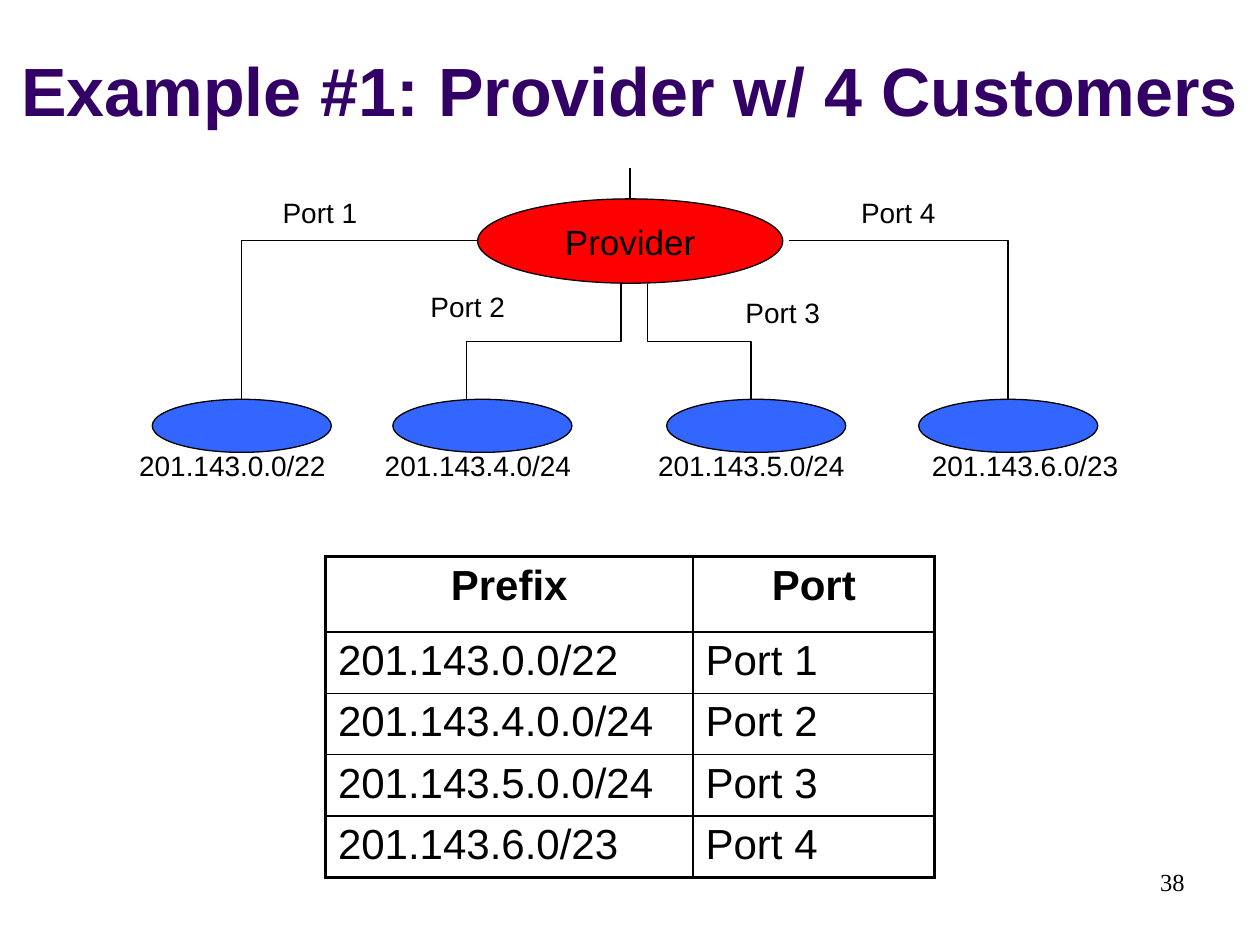
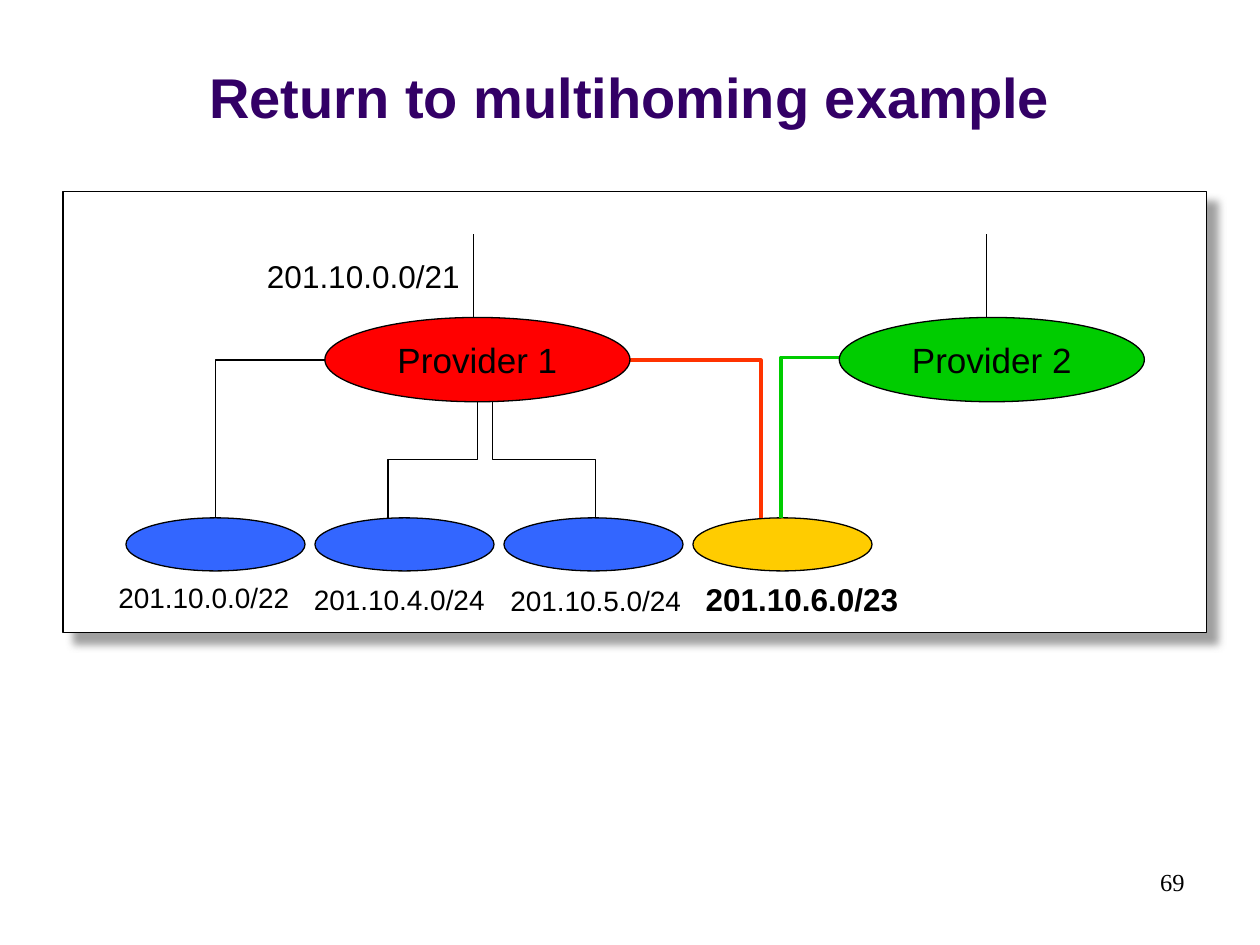
from lxml.etree import SubElement
from pptx import Presentation
from pptx.dml.color import RGBColor
from pptx.enum.shapes import MSO_CONNECTOR, MSO_SHAPE
from pptx.enum.text import MSO_ANCHOR, PP_ALIGN
from pptx.oxml.ns import qn
from pptx.util import Cm, Pt

COLORS = {
    "title": "330066", "ink": "000000", "paper": "FFFFFF", "shadow": "808080",
    "customer": "3366FF", "provider1": "FF0000", "provider2": "00CC00",
    "multihomed": "FFCC00", "link1": "FF3300",
}
PROVIDER_W, PROVIDER_H = 6.15, 1.7
CUSTOMER_W, CUSTOMER_H = 3.61, 1.07


def rgb(name):
    """Return the named colour."""
    return RGBColor.from_string(COLORS[name])


def write(tf, text, size, color="ink", bold=False, align=PP_ALIGN.CENTER, font="Arial"):
    """Fill a text frame with one run."""
    p = tf.paragraphs[0]
    p.alignment = align
    r = p.add_run()
    r.text = text
    r.font.name, r.font.size, r.font.bold = font, Pt(size), bold
    r.font.color.rgb = rgb(color)


def label(slide, x, y, w, h, text, size=16, **style):
    """Add a one-line text box."""
    tf = slide.shapes.add_textbox(Cm(x), Cm(y), Cm(w), Cm(h)).text_frame
    tf.word_wrap = False
    write(tf, text, size, **style)
    return tf


def outlined(slide, kind, x, y, w, h, fill):
    """Add a filled shape with a thin black outline."""
    sp = slide.shapes.add_shape(kind, Cm(x), Cm(y), Cm(w), Cm(h))
    sp.shadow.inherit = False
    sp.fill.solid()
    sp.fill.fore_color.rgb = rgb(fill)
    sp.line.color.rgb = rgb("ink")
    sp.line.width = Pt(0.75)
    return sp


def provider(slide, x, y, name, fill):
    """Add a named provider ellipse."""
    sp = outlined(slide, MSO_SHAPE.OVAL, x, y, PROVIDER_W, PROVIDER_H, fill)
    tf = sp.text_frame
    tf.word_wrap = False
    tf.vertical_anchor = MSO_ANCHOR.MIDDLE
    write(tf, name, 20)


def customer(slide, x, y, fill="customer"):
    """Add a customer ellipse."""
    outlined(slide, MSO_SHAPE.OVAL, x, y, CUSTOMER_W, CUSTOMER_H, fill)


def connect(slide, kind, x1, y1, x2, y2, color="ink", width=0.75):
    """Add a connector without a shadow."""
    c = slide.shapes.add_connector(kind, Cm(x1), Cm(y1), Cm(x2), Cm(y2))
    c.line.color.rgb = rgb(color)
    c.line.width = Pt(width)
    SubElement(c._element.spPr, qn("a:effectLst"))
    return c._element.spPr


def line(slide, x, y1, y2):
    """Add a vertical uplink."""
    connect(slide, MSO_CONNECTOR.STRAIGHT, x, y1, x, y2)


def side_link(slide, x1, y1, x2, y2, **style):
    """Add a link that runs sideways and then down."""
    spPr = connect(slide, MSO_CONNECTOR.ELBOW, x1, y1, x2, y2, **style)
    spPr.find(qn("a:prstGeom")).set("prst", "bentConnector2")


def drop_link(slide, x1, y1, x2, y2):
    """Add a link that runs down, sideways and down again."""
    cx, cy = (x1 + x2) / 2, (y1 + y2) / 2
    half_w, half_h = (y2 - y1) / 2, abs(x2 - x1) / 2
    angle = 90
    if x2 > x1:
        half_w, angle = -half_w, 270
    spPr = connect(slide, MSO_CONNECTOR.ELBOW,
                   cx - half_w, cy - half_h, cx + half_w, cy + half_h)
    spPr.find(qn("a:xfrm")).set("rot", str(angle * 60000))


def add_slide(prs, title, size, number):
    """Add a blank slide with its title and number."""
    slide = prs.slides.add_slide(prs.slide_layouts[6])
    tf = label(slide, 0, 0.33, 25.4, 2.41, title, size, color="title", bold=True)
    tf.word_wrap = True
    tf.vertical_anchor = MSO_ANCHOR.BOTTOM
    label(slide, 18.21, 17.35, 5.92, 1.27, number, 14,
          align=PP_ALIGN.RIGHT, font="Times New Roman").word_wrap = True
    return slide


def port_diagram(slide, x, y):
    """Draw one provider with four customers on numbered ports."""
    customers = [
        (0.58, 0, "201.143.0.0/22"), (5.43, 4.95, "201.143.4.0/24"),
        (10.95, 10.46, "201.143.5.0/24"), (16.03, 15.98, "201.143.6.0/23"),
    ]
    for left, text_left, prefix in customers:
        customer(slide, x + left, y + 4.67)
        label(slide, x + text_left, y + 5.54, 4.39, 0.94, prefix)
    for start, end in [(7.26, 2.38), (13.41, 17.83)]:
        side_link(slide, x + start, y + 1.47, x + end, y + 4.67)
    for start, end in [(10.03, 6.92), (10.57, 12.65)]:
        drop_link(slide, x + start, y + 2.34, x + end, y + 4.67)
    provider(slide, x + 7.14, y + 0.63, "Provider", "provider1")
    line(slide, x + 10.21, y, y + 0.63)
    ports = [(2.79, 0.43), (5.77, 2.34), (12.12, 2.46), (14.45, 0.43)]
    for i, (left, top) in enumerate(ports, 1):
        label(slide, x + left, y + top, 2.34, 0.94, f"Port {i}")


def set_borders(cell, widths):
    """Set the left, right, top and bottom borders of a cell."""
    tcPr = cell._tc.get_or_add_tcPr()
    for i, (side, width) in enumerate(zip(("lnL", "lnR", "lnT", "lnB"), widths)):
        ln = tcPr.makeelement(qn(f"a:{side}"), {"w": str(Pt(width))})
        fill = SubElement(ln, qn("a:solidFill"))
        SubElement(fill, qn("a:srgbClr"), val=COLORS["ink"])
        tcPr.insert(i, ln)


def prefix_table(slide, x, y):
    """Add the forwarding table of prefixes and ports."""
    rows = [
        ("Prefix", "Port"), ("201.143.0.0/22", "Port 1"),
        ("201.143.4.0.0/24", "Port 2"), ("201.143.5.0.0/24", "Port 3"),
        ("201.143.6.0/23", "Port 4"),
    ]
    col_widths, head_h, row_h = (7.41, 4.87), 1.52, 1.2
    last_row, last_col = len(rows) - 1, len(col_widths) - 1
    table = slide.shapes.add_table(
        len(rows), len(col_widths), Cm(x), Cm(y), Cm(sum(col_widths)),
        Cm(head_h + last_row * row_h)).table
    for col, width in zip(table.columns, col_widths):
        col.width = Cm(width)
    for i, row in enumerate(rows):
        table.rows[i].height = Cm(row_h if i else head_h)
        for j, text in enumerate(row):
            cell = table.cell(i, j)
            cell.margin_top = cell.margin_bottom = Cm(0.11)
            cell.fill.solid()
            cell.fill.fore_color.rgb = rgb("paper")
            write(cell.text_frame, text, 24, bold=i == 0,
                  align=PP_ALIGN.LEFT if i else PP_ALIGN.CENTER)
            outer = (j == 0, j == last_col, i == 0, i == last_row)
            set_borders(cell, [2.25 if edge else 1 for edge in outer])


def panel(slide, x, y, w, h):
    """Add the white panel with its soft drop shadow."""
    sp = outlined(slide, MSO_SHAPE.RECTANGLE, x, y, w, h, "paper")
    effects = sp._element.spPr.find(qn("a:effectLst"))
    shadow = SubElement(effects, qn("a:outerShdw"), blurRad=str(Pt(5)),
                        dist=str(Pt(8.5)), dir=str(45 * 60000), rotWithShape="0")
    color = SubElement(shadow, qn("a:srgbClr"), val=COLORS["shadow"])
    SubElement(color, qn("a:alpha"), val="75000")


def multihoming_diagram(slide, x, y):
    """Draw two providers that share one multihomed customer."""
    panel(slide, x, y, 23.06, 8.89)
    label(slide, x + 3.86, y + 1.19, 4.39, 1.02, "201.10.0.0/21", 18)
    prefixes = [(0.86, 7.72, "201.10.0.0/22"), (4.8, 7.75, "201.10.4.0/24"),
                (8.76, 7.77, "201.10.5.0/24")]
    for left, top, prefix in prefixes:
        label(slide, x + left, y + top, 3.96, 0.94, prefix)
    label(slide, x + 12.7, y + 7.7, 4.39, 1.02, "201.10.6.0/23", 18, bold=True)
    for i, fill in enumerate(["customer"] * 3 + ["multihomed"]):
        customer(slide, x + 1.27 + 3.81 * i, y + 6.58, fill)
    side_link(slide, x + 5.28, y + 3.4, x + 3.07, y + 6.58)
    for start, end in [(8.36, 6.55), (8.66, 10.74)]:
        drop_link(slide, x + start, y + 4.24, x + end, y + 6.58)
    side_link(slide, x + 11.43, y + 3.4, x + 14.07, y + 6.58, color="link1", width=2)
    side_link(slide, x + 15.65, y + 3.35, x + 14.48, y + 6.58, color="provider2", width=2)
    for uplink in (8.28, 18.62):
        line(slide, x + uplink, y + 0.86, y + 2.57)
    provider(slide, x + 5.28, y + 2.54, "Provider 1", "provider1")
    provider(slide, x + 15.65, y + 2.54, "Provider 2", "provider2")


def main():
    """Build both slides and save them."""
    prs = Presentation()
    prs.slide_width, prs.slide_height = Cm(25.4), Cm(19.05)
    slide = add_slide(prs, "Example #1: Provider w/ 4 Customers", 39, "38")
    prefix_table(slide, 6.56, 11.22)
    port_diagram(slide, 2.49, 3.38)
    slide = add_slide(prs, "Return to multihoming example", 32, "69")
    multihoming_diagram(slide, 1.27, 3.86)
    prs.save("out.pptx")


if __name__ == "__main__":
    main()
